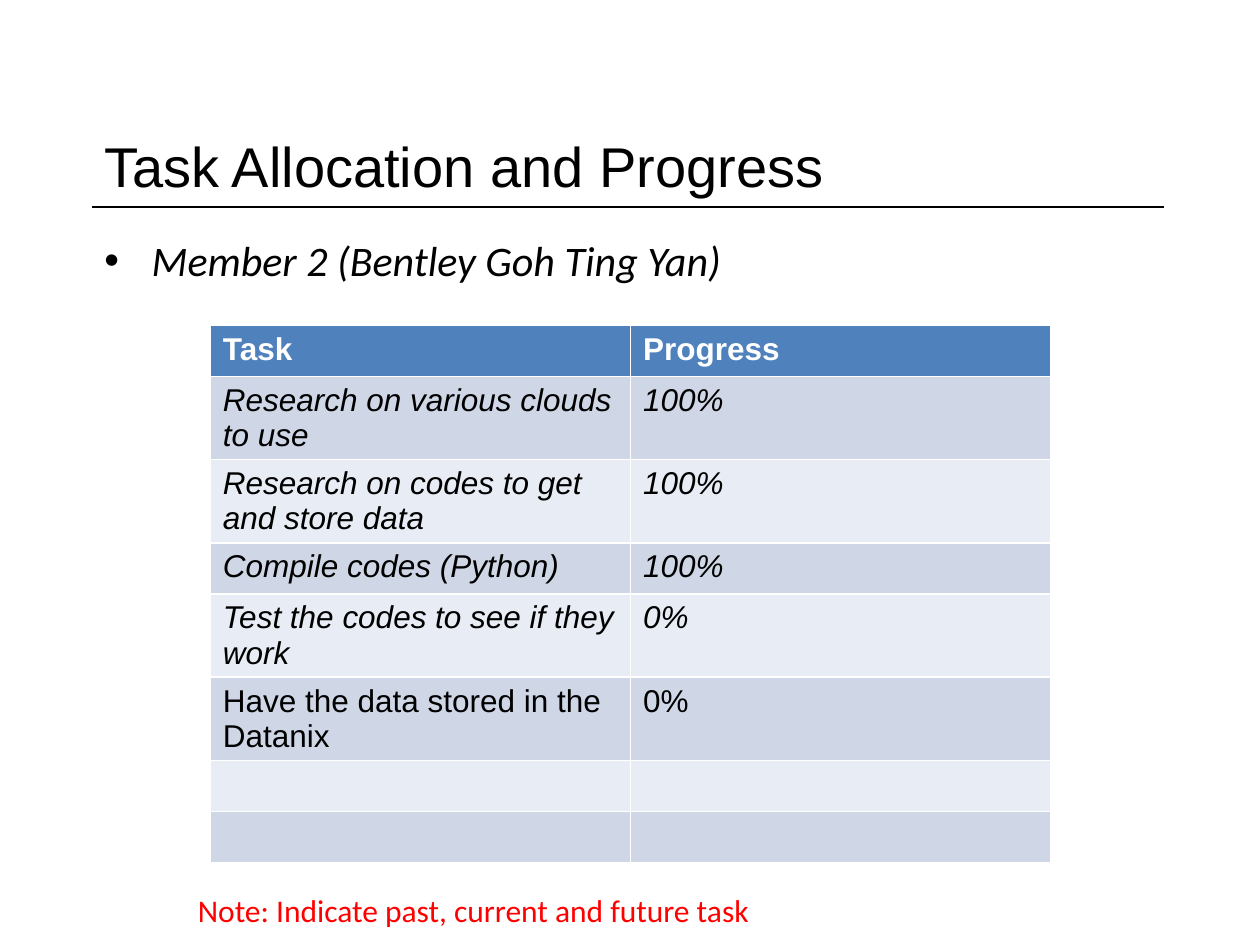
from lxml import etree
from pptx import Presentation
from pptx.dml.color import RGBColor
from pptx.enum.shapes import MSO_CONNECTOR
from pptx.enum.text import MSO_ANCHOR, PP_ALIGN
from pptx.oxml.ns import qn
from pptx.util import Cm, Pt

STRAIGHT = MSO_CONNECTOR.STRAIGHT
LEFT = PP_ALIGN.LEFT
MIDDLE = MSO_ANCHOR.MIDDLE

BLACK, WHITE, RED = "000000", "FFFFFF", "FF0000"
HEADER_FILL = "4F81BD"
BAND_FILLS = ("CFD7E7", "E8ECF4")

TASKS = [
    ("Research on various clouds to use", "100%", True),
    ("Research on codes to get and store data", "100%", True),
    ("Compile codes (Python)", "100%", True),
    ("Test the codes to see if they work", "0%", True),
    ("Have the data stored in the Datanix", "0%", False),
    ("", "", False),
    ("", "", False),
]


def rgb(value):
    return RGBColor.from_string(value)


class SlideBuilder:
    def __init__(self, slide, heading_font="Arial", body_font="Calibri"):
        self.s = slide
        self.heading_font = heading_font
        self.body_font = body_font

    def add_text(self, tf, text, color=BLACK, **fmt):
        """Put one left-aligned, formatted run into a text frame."""
        p = tf.paragraphs[0]
        p.alignment = LEFT
        r = p.add_run()
        r.text = text
        r.font.color.rgb = rgb(color)
        for name, value in fmt.items():
            setattr(r.font, name, value)

    def place(self, sp, box):
        sp.left, sp.top, sp.width, sp.height = map(Cm, box)

    def title(self, text, box):
        sp = self.s.shapes.title
        self.place(sp, box)
        sp.text_frame.vertical_anchor = MIDDLE
        self.add_text(sp.text_frame, text, size=Pt(32), name=self.heading_font)

    def body(self, text, box):
        sp = self.s.placeholders[1]
        self.place(sp, box)
        self.add_text(sp.text_frame, text, size=Pt(24), name=self.body_font, italic=True)

    def rule(self, x1, x2, y):
        line = self.s.shapes.add_connector(STRAIGHT, Cm(x1), Cm(y), Cm(x2), Cm(y))
        line.line.color.rgb = rgb(BLACK)
        line.line.width = Pt(0.75)
        etree.SubElement(line._element.spPr, qn("a:effectLst"))

    def note(self, text, box):
        sp = self.s.shapes.add_textbox(*map(Cm, box))
        sp.text_frame.word_wrap = True
        self.add_text(sp.text_frame, text, RED, size=Pt(18), name=self.body_font)

    def cell(self, cell, text, fill, color=BLACK, **fmt):
        cell.fill.solid()
        cell.fill.fore_color.rgb = rgb(fill)
        if text:
            self.add_text(cell.text_frame, text, color, size=Pt(18),
                          name=self.heading_font, **fmt)

    def table(self, header, tasks, left, top, col_width, row_height):
        rows, cols = len(tasks) + 1, len(header)
        table = self.s.shapes.add_table(
            rows, cols, Cm(left), Cm(top),
            Cm(cols * col_width), Cm(rows * row_height)).table
        for c, text in enumerate(header):
            self.cell(table.cell(0, c), text, HEADER_FILL, WHITE, bold=True)
        for r, (*texts, italic) in enumerate(tasks):
            for c, text in enumerate(texts):
                self.cell(table.cell(r + 1, c), text, BAND_FILLS[r % 2], italic=italic)


def main():
    prs = Presentation()
    prs.slide_width, prs.slide_height = Cm(25.4), Cm(19.05)
    b = SlideBuilder(prs.slides.add_slide(prs.slide_layouts[1]))
    left, width, rule_y = 1.85, 21.62, 4.17
    b.rule(left, left + width, rule_y)
    b.title("Task Allocation and Progress", (left, 2.49, width, rule_y - 2.49))
    b.body("Member 2 (Bentley Goh Ting Yan)", (left, 4.6, width, 12.55))
    b.table(("Task", "Progress"), TASKS, 4.24, 6.56, 8.47, 1.03)
    b.note("Note: Indicate past, current and future task", (3.74, 17.83, 11.8, 1.02))
    prs.save("out.pptx")


if __name__ == "__main__":
    main()
